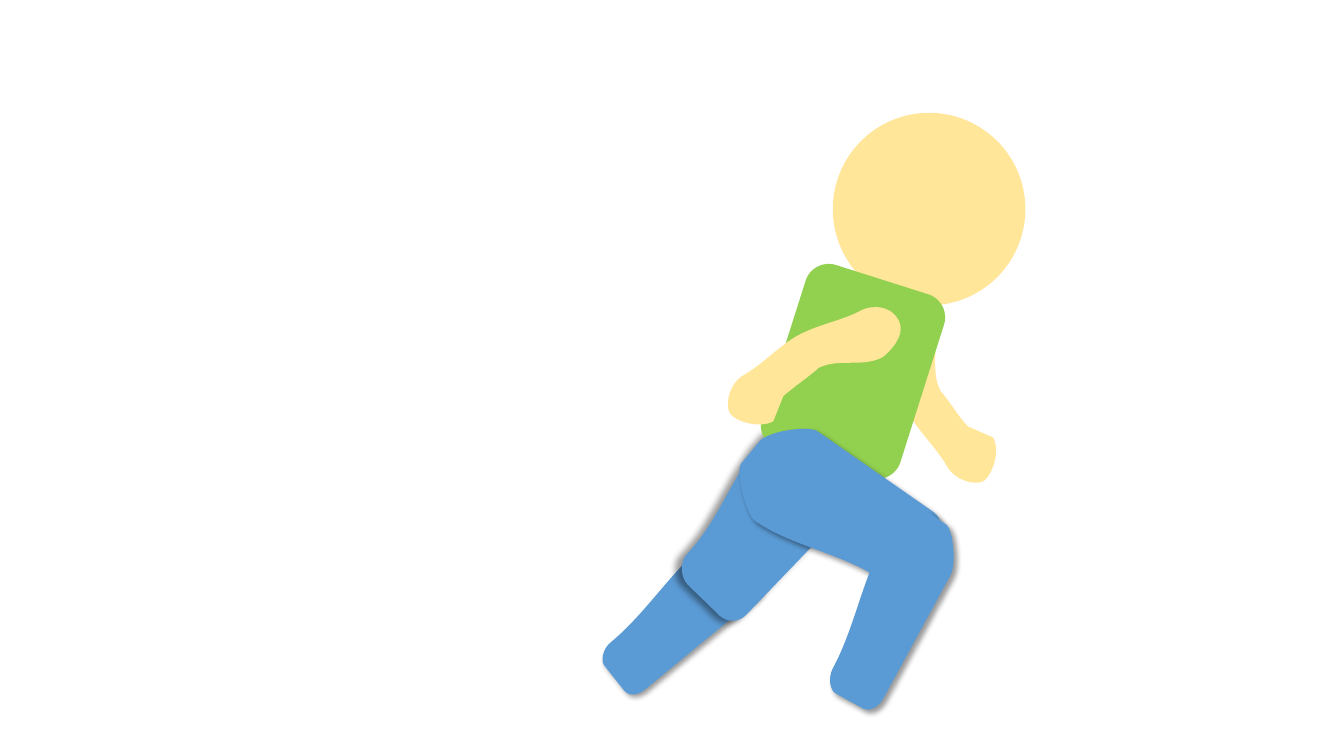
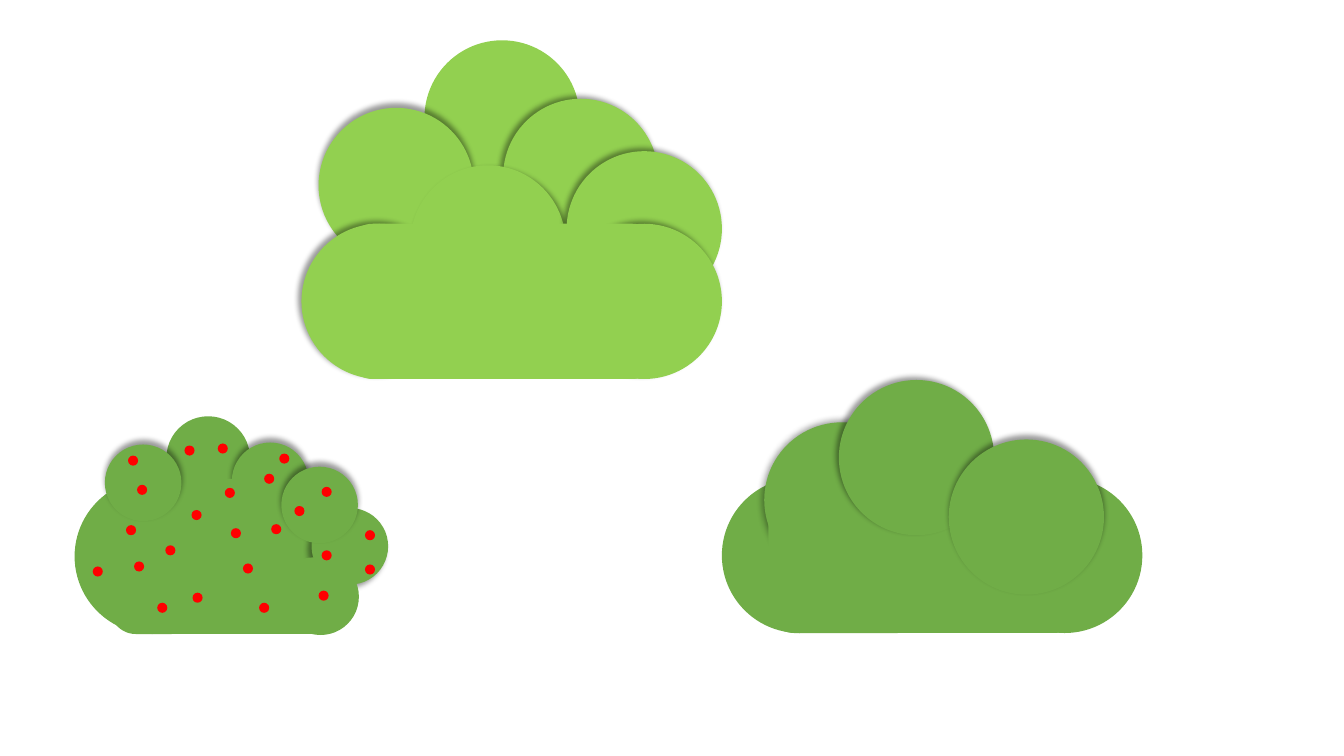
import math

import pptx
import pptx.dml.color
import pptx.enum.shapes
import pptx.oxml.ns
import pptx.util
from lxml import etree

Inches, Pt = pptx.util.Inches, pptx.util.Pt
SHAPE = pptx.enum.shapes.MSO_SHAPE
qn = pptx.oxml.ns.qn

COLORS = {"skin": "FFE699", "lime": "92D050", "leaf": "70AD47",
          "jeans": "5B9BD5", "berry": "FF0000", "shadow": "000000"}

# Shadow: blur and distance in points, direction in degrees, size in percent, anchor
GLOW = (5, 0, 0, 102, "ctr")
UP = (4, 3, 270, 100, "b")
UP_LEFT = (4, 3, 225, 100, "br")
DOWN_RIGHT = (4, 3, 45, 100, "tl")
DOWN_LEFT = (4, 3, 135, 100, "tr")

# Limbs: box before turning, rotation, and the outline as it lies on the slide:
# start point, then (x, y) for a line or six numbers for a curve
BACK_SHIN = ((5.8, 5.65, 2.02, 0.75), 140.5, [
    (7.64, 5.47), (7.67, 5.56, 7.57, 5.88, 7.49, 5.94), (6.41, 6.83),
    (6.33, 6.9, 6.24, 6.91, 6.19, 6.85), (6, 6.61),
    (5.95, 6.56, 5.98, 6.43, 6.06, 6.37), (6.42, 6.07, 6.66, 5.66, 7.02, 5.37),
    (7.1, 5.3, 7.48, 5.24, 7.52, 5.29), (7.64, 5.47)])
BACK_THIGH = ((6.58, 4.59, 2.02, 1.08), 134, [
    (8.37, 4.52), (8.45, 4.64, 8.44, 5.02, 8.37, 5.09), (7.4, 6.1),
    (7.33, 6.17, 7.22, 6.18, 7.14, 6.11), (6.82, 5.8),
    (6.75, 5.73, 6.74, 5.57, 6.81, 5.5), (7.14, 5.16, 7.27, 4.68, 7.59, 4.34),
    (7.66, 4.27, 8.1, 4.22, 8.17, 4.29), (8.37, 4.52)])
BACK_ARM = ((8.32, 3.63, 1.91, 0.63), 241.9, [
    (9.39, 4.62), (9.28, 4.43, 9.1, 4.27, 9, 4.08),
    (8.9, 3.89, 8.87, 3.67, 8.77, 3.48), (8.69, 3.33, 8.73, 3.15, 8.86, 3.08),
    (8.98, 3.02, 9.11, 3.11, 9.23, 3.23), (9.33, 3.43, 9.22, 3.68, 9.33, 3.88),
    (9.42, 3.98, 9.51, 4.14, 9.6, 4.23), (9.85, 4.34),
    (9.93, 4.49, 9.83, 4.72, 9.76, 4.77), (9.68, 4.82, 9.47, 4.77, 9.39, 4.62)])
FRONT_ARM = ((7.1, 3.29, 1.91, 0.63), 331, [
    (7.38, 3.72), (7.57, 3.61, 7.73, 3.43, 7.91, 3.33),
    (8.11, 3.22, 8.32, 3.19, 8.52, 3.09), (8.66, 3.01, 8.84, 3.04, 8.91, 3.17),
    (8.98, 3.29, 8.89, 3.43, 8.76, 3.54), (8.57, 3.65, 8.31, 3.55, 8.12, 3.65),
    (8.02, 3.74, 7.87, 3.84, 7.77, 3.93), (7.67, 4.18),
    (7.52, 4.26, 7.28, 4.17, 7.24, 4.1), (7.19, 4.02, 7.23, 3.8, 7.38, 3.72)])
FRONT_THIGH = ((7.26, 4.51, 2.02, 1.08), 35.1, [
    (7.54, 4.37), (7.65, 4.27, 8.03, 4.22, 8.11, 4.28), (9.26, 5.08),
    (9.34, 5.14, 9.36, 5.25, 9.3, 5.34), (9.05, 5.7),
    (8.99, 5.79, 8.84, 5.82, 8.75, 5.76), (8.37, 5.49, 7.87, 5.43, 7.49, 5.17),
    (7.4, 5.11, 7.29, 4.68, 7.35, 4.6), (7.54, 4.37)])
FRONT_SHIN = ((7.82, 5.65, 2.02, 0.75), 118.8, [
    (9.39, 5.21), (9.46, 5.28, 9.48, 5.61, 9.43, 5.7), (8.76, 6.93),
    (8.71, 7.02, 8.62, 7.06, 8.56, 7.03), (8.29, 6.88),
    (8.23, 6.85, 8.21, 6.72, 8.26, 6.63), (8.48, 6.22, 8.55, 5.75, 8.78, 5.34),
    (8.83, 5.25, 9.16, 5.06, 9.22, 5.09), (9.39, 5.21)])

# Bush parts from back to front: left, top, width, height, shadow
BIG, SMALL, BERRY = 1.54, 0.76, 0.1
LIME_BUSH = [
    (4.21, 0.4, BIG, BIG, None), (3.16, 1.07, BIG, BIG, UP),
    (4.99, 0.98, BIG, BIG, UP_LEFT), (4.07, 1.64, BIG, BIG, DOWN_RIGHT),
    (2.99, 2.22, BIG, BIG, UP_LEFT), (5.62, 1.5, BIG, BIG, UP_LEFT),
    (5.62, 2.22, BIG, BIG, UP_LEFT), (3.44, 2.22, 3.09, BIG, None)]
LEAF_BUSH = [
    (7.16, 4.74, BIG, BIG, None), (7.58, 4.19, BIG, BIG, GLOW),
    (9.79, 4.74, BIG, BIG, None), (7.62, 4.74, 3.09, BIG, None),
    (8.32, 3.77, BIG, BIG, UP_LEFT), (9.41, 4.36, BIG, BIG, UP)]
BERRY_BUSH = [
    (1.65, 4.13, 0.83, 0.83, None), (0.74, 4.75, BIG, BIG, None),
    (2.3, 4.39, SMALL, SMALL, UP), (1.09, 4.75, 2.21, BIG, None),
    (3.09, 5.04, SMALL, SMALL, DOWN_LEFT), (2.73, 5.53, SMALL, SMALL, None),
    (1.04, 4.41, SMALL, SMALL, UP), (2.8, 5.54, SMALL, SMALL, None),
    (2.79, 4.63, SMALL, SMALL, UP)]
BERRIES = [
    (2.77, 4.5), (1.83, 4.42), (2.23, 4.84), (2.69, 5.2), (3.19, 4.83),
    (2.92, 5.02), (3.62, 5.26), (1.36, 4.81), (2.16, 4.4), (2.62, 4.7),
    (1.27, 4.52), (2.29, 5.24), (2.41, 5.59), (3.16, 5.86), (2.57, 5.98),
    (3.62, 5.6), (3.19, 5.46), (1.25, 5.21), (1.64, 5.41), (1.9, 5.06),
    (1.91, 5.88), (0.92, 5.62), (1.33, 5.57), (1.56, 5.98)]


def paint(sp, color, shadow=None):
    sp.fill.solid()
    sp.fill.fore_color.rgb = pptx.dml.color.RGBColor.from_string(COLORS[color])
    sp.line.fill.background()
    sp.shadow.inherit = False
    if shadow:
        blur, dist, angle, size, anchor = shadow
        scale = str(size * 1000)
        effects = sp._element.spPr.find(qn("a:effectLst"))
        outer = etree.SubElement(
            effects, qn("a:outerShdw"), blurRad=str(Pt(blur)), dist=str(Pt(dist)),
            dir=str(angle * 60000), sx=scale, sy=scale, algn=anchor,
            rotWithShape="0")
        clr = etree.SubElement(outer, qn("a:srgbClr"), val=COLORS["shadow"])
        etree.SubElement(clr, qn("a:alpha"), val="40000")


def add_preset(shapes, kind, box, color, shadow=None, rotation=0):
    sp = shapes.add_shape(kind, *map(Inches, box))
    sp.rotation = rotation
    paint(sp, color, shadow)


def turn_back(box, rotation, part):
    """Points of one outline part, relative to the unturned box."""
    left, top, width, height = box
    cos, sin = math.cos(math.radians(rotation)), math.sin(math.radians(rotation))
    points = []
    for x, y in zip(part[::2], part[1::2]):
        dx, dy = x - left - width / 2, y - top - height / 2
        points.append((Inches(width / 2 + dx * cos + dy * sin),
                       Inches(height / 2 - dx * sin + dy * cos)))
    return points


def add_limb(shapes, limb, color, shadow=None):
    box, rotation, outline = limb
    parts = [turn_back(box, rotation, part) for part in outline]
    builder = shapes.build_freeform(*parts[0][0], scale=1.0)
    builder.add_line_segments([part[-1] for part in parts[1:]], close=True)
    sp = builder.convert_to_shape()
    sp.left, sp.top, sp.width, sp.height = map(Inches, box)
    sp.rotation = rotation

    path = next(sp._element.iter(qn("a:path")))
    path.set("w", str(sp.width))
    path.set("h", str(sp.height))
    for old, points in zip(list(path), parts):
        tag = qn("a:cubicBezTo") if len(points) == 3 else old.tag
        step = etree.Element(tag)
        for x, y in points:
            etree.SubElement(step, qn("a:pt"), x=str(x), y=str(y))
        path.replace(old, step)
    paint(sp, color, shadow)


def add_bush(shapes, parts, color, berries=()):
    group = shapes.add_group_shape().shapes
    for left, top, width, height, shadow in parts:
        kind = SHAPE.OVAL if width == height else SHAPE.ROUNDED_RECTANGLE
        add_preset(group, kind, (left, top, width, height), color, shadow)
    for left, top in berries:
        add_preset(group, SHAPE.OVAL, (left, top, BERRY, BERRY), "berry")


def draw_runner(shapes):
    lean = 17.6
    add_limb(shapes, BACK_SHIN, "jeans", DOWN_RIGHT)
    add_limb(shapes, BACK_THIGH, "jeans", GLOW)
    add_limb(shapes, BACK_ARM, "skin")
    add_preset(shapes, SHAPE.OVAL, (8.26, 1.12, 1.91, 1.91), "skin", rotation=lean)
    add_preset(shapes, SHAPE.ROUNDED_RECTANGLE, (7.74, 2.73, 1.44, 1.91), "lime",
               rotation=lean)
    add_limb(shapes, FRONT_ARM, "skin")
    add_limb(shapes, FRONT_THIGH, "jeans", DOWN_RIGHT)
    add_limb(shapes, FRONT_SHIN, "jeans", DOWN_RIGHT)


def draw_bushes(shapes):
    add_bush(shapes, LIME_BUSH, "lime")
    add_bush(shapes, LEAF_BUSH, "leaf")
    add_bush(shapes, BERRY_BUSH, "leaf", BERRIES)


def main():
    prs = pptx.Presentation()
    prs.slide_width, prs.slide_height = Inches(13.33), Inches(7.5)
    blank = prs.slide_layouts[6]
    for draw in (draw_runner, draw_bushes):
        draw(prs.slides.add_slide(blank).shapes)
    prs.save("out.pptx")


if __name__ == "__main__":
    main()
